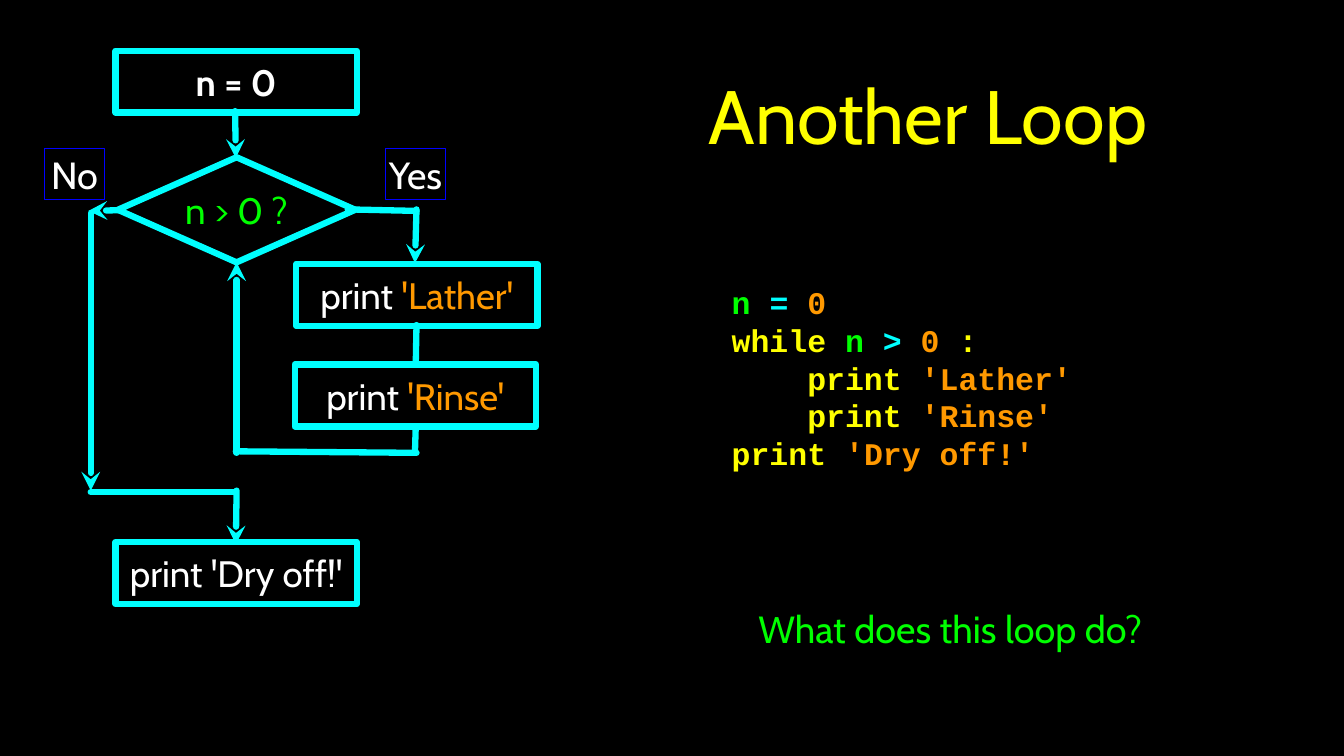
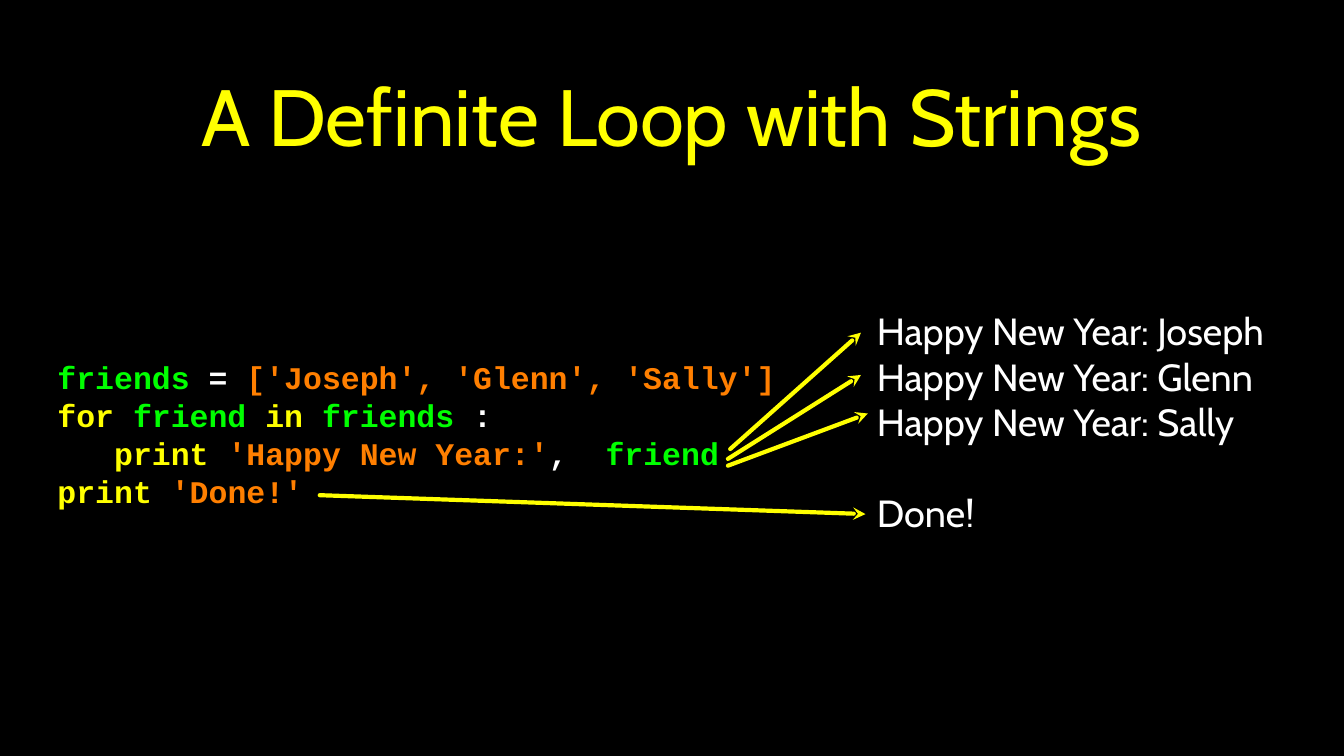
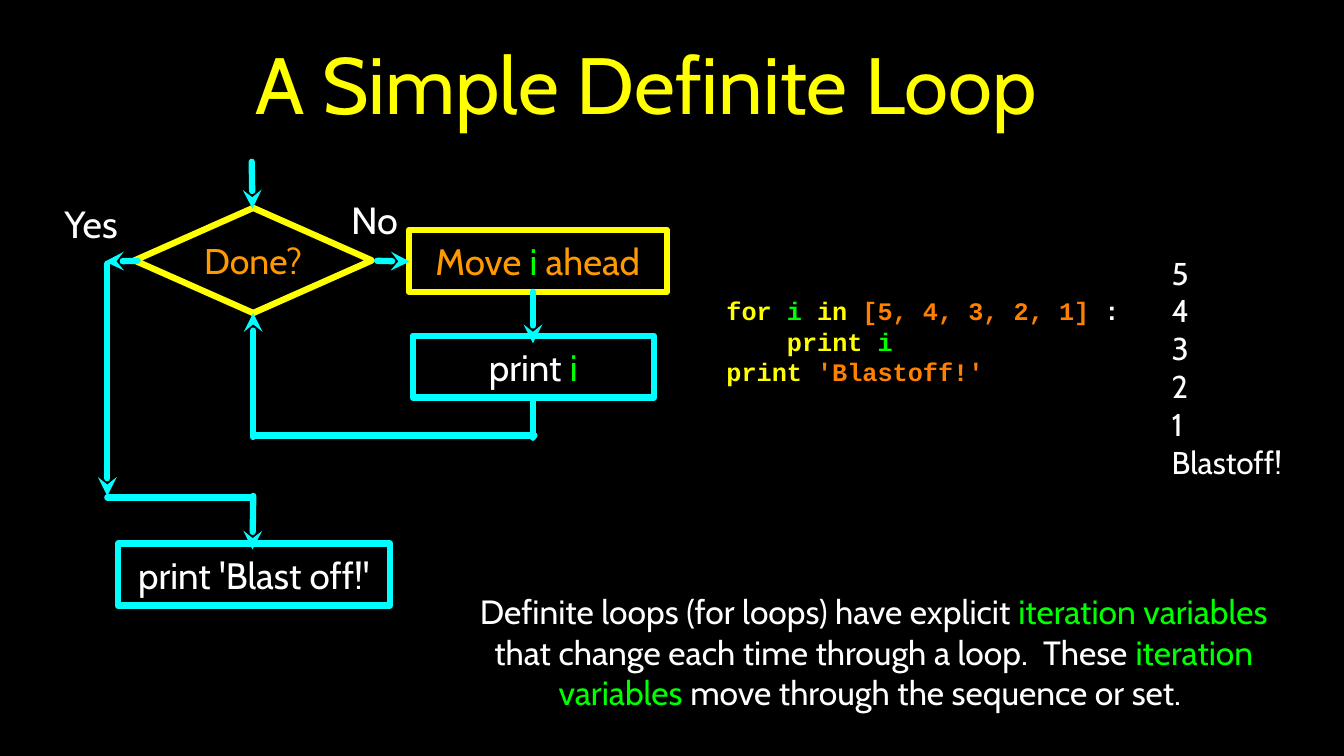
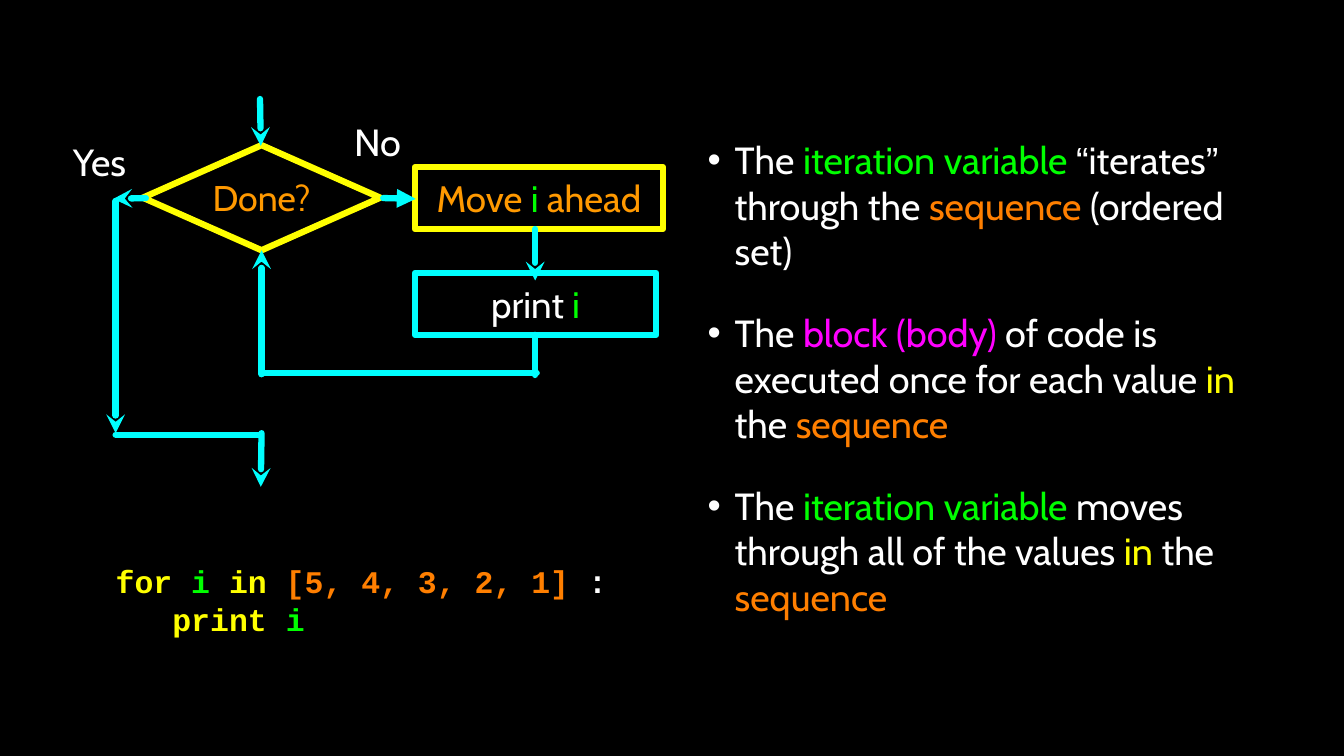
from dataclasses import dataclass

from lxml.etree import SubElement
from pptx import Presentation
from pptx.dml.color import RGBColor
from pptx.enum.shapes import MSO_CONNECTOR, MSO_SHAPE
from pptx.enum.text import MSO_ANCHOR, PP_ALIGN
from pptx.oxml.ns import qn
from pptx.util import Pt

EMU_PER_PX = 9144  # 100 px to the inch

BLACK = "000000"
WHITE = "FFFFFF"
YELLOW = "FFFF00"
GREEN = "00FF00"
CYAN = "00FFFF"
BLUE = "0000FF"
MAGENTA = "FF00FF"
AMBER = "FF9900"
ORANGE = "FF7F00"

TITLE = {"name": "Cabin", "size": Pt(76)}
SHORT_TITLE = {**TITLE, "size": Pt(72)}
BODY = {"name": "Cabin", "size": Pt(36)}
STEP = {"name": "Cabin", "size": Pt(35)}
QUESTION = {"name": "Cabin", "size": Pt(34)}
SUMMARY = {"name": "Cabin", "size": Pt(32)}
OUTPUT = {"name": "Cabin", "size": Pt(30)}
CODE = {"name": "Courier New", "size": Pt(30), "bold": True}
SMALL_CODE = {**CODE, "size": Pt(24)}

STEP_WIDTH, STEP_HEIGHT = 319, 82
DIAMOND_WIDTH, DIAMOND_HEIGHT = 314, 139
LABEL_SIZE = (79, 68)


@dataclass
class Line:
    """One paragraph: runs are (text, colour) or (text, colour, font name)."""
    runs: list
    margin: int = 0
    hanging: int = 0
    space_before: int = 0


def px(length):
    return round(length * EMU_PER_PX)


def rgb(colour):
    return RGBColor.from_string(colour)


def write_text(shape, lines, style, align=PP_ALIGN.CENTER, inset=0):
    frame = shape.text_frame
    settings = {"word_wrap": True, "vertical_anchor": MSO_ANCHOR.MIDDLE}
    for side in ("left", "top", "right", "bottom"):
        settings[f"margin_{side}"] = px(inset)
    for name, value in settings.items():
        setattr(frame, name, value)
    for index, line in enumerate(lines):
        paragraph = frame.add_paragraph() if index else frame.paragraphs[0]
        paragraph.alignment = align
        if line.space_before:
            paragraph.space_before = Pt(line.space_before)
        if line.margin:
            properties = paragraph._p.get_or_add_pPr()
            properties.set("marL", str(px(line.margin)))
            properties.set("indent", str(px(-line.hanging)))
            if line.hanging:
                add_bullet(properties)
        for text, colour, *font_name in line.runs:
            run = paragraph.add_run()
            run.text = text
            for name, value in style.items():
                setattr(run.font, name, value)
            if font_name:
                run.font.name = font_name[0]
            run.font.color.rgb = rgb(colour)


def add_bullet(properties):
    colour = SubElement(properties, qn("a:buClr"))
    SubElement(colour, qn("a:srgbClr")).set("val", WHITE)
    SubElement(properties, qn("a:buFont")).set("typeface", "Arial")
    SubElement(properties, qn("a:buChar")).set("char", "•")


def add_text(slide, box, lines, style, align=PP_ALIGN.LEFT, inset=0):
    shape = slide.shapes.add_textbox(*map(px, box))
    write_text(shape, lines, style, align, inset)


def add_title(slide, box, text, style=TITLE):
    add_text(slide, box, [Line([(text, YELLOW)])], style, PP_ALIGN.CENTER, 4)


def add_label(slide, left, top, text):
    add_text(slide, (left, top, *LABEL_SIZE), [Line([(text, WHITE)])], BODY,
             PP_ALIGN.CENTER)


def add_box(slide, box, runs, style=STEP, colour=CYAN, width=6,
            kind=MSO_SHAPE.RECTANGLE):
    """Draw an unfilled flowchart symbol with centred text."""
    shape = slide.shapes.add_shape(kind, *map(px, box))
    shape.shadow.inherit = False
    shape.fill.background()
    shape.line.color.rgb = rgb(colour)
    shape.line.width = Pt(width)
    write_text(shape, [Line(runs)], style)


def add_step(slide, left, top, runs, width=STEP_WIDTH, colour=CYAN):
    add_box(slide, (left, top, width, STEP_HEIGHT), runs, colour=colour)


def add_line(slide, start, end, head=None, colour=CYAN, width=6):
    """Join two points, with an optional arrowhead at the end."""
    connector = slide.shapes.add_connector(
        MSO_CONNECTOR.STRAIGHT, *map(px, (*start, *end)))
    connector.line.color.rgb = rgb(colour)
    connector.line.width = Pt(width)
    outline = connector.line._get_or_add_ln()
    outline.set("cap", "rnd")
    SubElement(outline, qn("a:round"))
    if head:
        SubElement(outline, qn("a:tailEnd")).set("type", head)
    SubElement(connector._element.spPr, qn("a:effectLst"))


def add_decision(slide, left, top, runs, style, colour, back_depth, exit_depth):
    """Draw a diamond with its entry, its return path and its exit path.

    The depths run from the diamond's top to the two horizontal paths.
    """
    def path(start, end, head="stealth"):
        add_line(slide, (left + start[0], top + start[1]),
                 (left + end[0], top + end[1]), head)

    add_box(slide, (left, top, DIAMOND_WIDTH, DIAMOND_HEIGHT), runs, style,
            colour, kind=MSO_SHAPE.DIAMOND)
    path((155, -61), (156, 1))
    path((157, back_depth + 2), (157, DIAMOND_HEIGHT))
    path((4, 70), (-39, 71))
    path((-36, 74), (-36, exit_depth - 2))
    path((-36, exit_depth), (156, exit_depth), None)
    path((157, exit_depth - 2), (156, exit_depth + 69))


def add_counting_loop(slide, left, top, print_left, move_left, move_width,
                      no_place, head):
    back_depth = 301
    add_decision(slide, left, top, [("Done?", AMBER)], QUESTION, YELLOW,
                 back_depth, 383)
    add_label(slide, left - 97, top - 13, "Yes")
    add_label(slide, *no_place, "No")
    add_step(slide, move_left, top + 29,
             [("Move ", AMBER), ("i", GREEN), (" ahead", AMBER)],
             move_width, YELLOW)
    add_step(slide, print_left, top + 169, [("print ", WHITE), ("i", GREEN)])
    centre = print_left + STEP_WIDTH // 2
    add_line(slide, (move_left - 42, top + 70), (move_left + 1, top + 71), head)
    add_line(slide, (centre, top + 111), (centre, top + 179), "stealth")
    add_line(slide, (centre, top + 251), (centre, top + back_depth + 3))
    add_line(slide, (left + 158, top + back_depth), (centre + 2, top + back_depth))


def for_loop_code(indent):
    return [
        Line([("for ", YELLOW), ("i ", GREEN), ("in ", YELLOW),
              ("[5, 4, 3, 2, 1] ", ORANGE), (":", WHITE)]),
        Line([("print ", YELLOW), ("i", GREEN)], indent),
    ]


def build_another_loop(slide):
    add_title(slide, (867, 26, 721, 251), "Another Loop", SHORT_TITLE)
    add_decision(slide, 156, 208, [("n > 0 ?", GREEN)], STEP, CYAN, 389, 443)
    for left, text in ((59, "No"), (510, "Yes")):
        add_box(slide, (left, 196, *LABEL_SIZE), [(text, WHITE)], BODY, BLUE, 0.75)

    add_box(slide, (153, 67, STEP_WIDTH, STEP_HEIGHT), [("n = 0", WHITE)],
            {**STEP, "bold": True})
    add_step(slide, 392, 349, [("print ", WHITE), ("'Lather'", AMBER)])
    add_step(slide, 390, 482, [("print ", WHITE), ("'Rinse'", AMBER)])
    add_step(slide, 153, 717, [("print 'Dry off!'", WHITE)])

    add_line(slide, (460, 277), (551, 279))
    add_line(slide, (551, 277), (549, 348), "stealth")
    add_line(slide, (551, 430), (550, 482))
    add_line(slide, (550, 564), (549, 597))
    add_line(slide, (312, 597), (551, 599))

    add_text(slide, (968, 348, 512, 303), [
        Line([("n ", GREEN), ("= ", CYAN), ("0", AMBER)]),
        Line([("while ", YELLOW), ("n ", GREEN), ("> ", CYAN), ("0", AMBER),
              (" :", YELLOW)]),
        Line([("print ", YELLOW), ("'Lather'", AMBER)], 100),
        Line([("print ", YELLOW), ("'Rinse'", AMBER)], 100),
        Line([("print ", YELLOW), ("'Dry off!'", AMBER)]),
    ], CODE)
    add_text(slide, (1001, 797, 512, 68),
             [Line([("What does this loop do?", GREEN)])], BODY, PP_ALIGN.CENTER)


def build_strings_loop(slide):
    add_title(slide, (126, 26, 1524, 251), "A Definite Loop with Strings")
    add_text(slide, (76, 453, 1008, 242), [
        Line([("friends", GREEN), (" = ", WHITE),
              ("['Joseph', 'Glenn', 'Sally']", ORANGE)]),
        Line([("for ", YELLOW), ("friend ", GREEN), ("in ", YELLOW),
              ("friends ", GREEN), (":", WHITE)]),
        Line([("print ", YELLOW), ("'Happy New Year:'", ORANGE), (",  ", WHITE),
              ("friend", GREEN)], 75),
        Line([("print ", YELLOW), ("'Done!'", ORANGE)]),
    ], CODE)

    greetings = [Line([(f"Happy New Year: {friend}", WHITE)])
                 for friend in ("Joseph", "Glenn", "Sally")]
    add_text(slide, (1160, 388, 596, 339),
             [*greetings, Line([("Done!", WHITE)], space_before=43)], BODY)

    for start, end in (((966, 594), (1139, 440)), ((963, 607), (1139, 496)),
                       ((963, 616), (1148, 547)), ((423, 655), (1145, 680))):
        add_line(slide, start, end, "stealth", YELLOW, 4)


def build_simple_loop(slide):
    add_title(slide, (331, 0, 1047, 219), "A Simple Definite Loop")
    add_counting_loop(slide, 178, 275, print_left=546, move_left=541,
                      move_width=341, no_place=(456, 256), head="stealth")
    add_step(slide, 156, 719, [("print 'Blast off!'", WHITE)], 360)
    add_text(slide, (961, 360, 558, 182), [
        *for_loop_code(80),
        Line([("print ", YELLOW), ("'Blastoff!'", ORANGE)]),
    ], SMALL_CODE)
    add_text(slide, (1550, 309, 182, 353),
             [Line([(text, WHITE)]) for text in (*"54321", "Blastoff!")], OUTPUT)
    add_text(slide, (602, 771, 1108, 182), [Line([
        ("Definite loops (for loops) have explicit ", WHITE),
        ("iteration variables ", GREEN),
        ("that change each time through a loop.  These ", WHITE),
        ("iteration variables", GREEN),
        (" move through the sequence or set. ", WHITE),
    ])], SUMMARY, PP_ALIGN.CENTER)


def build_iteration_variable(slide):
    add_counting_loop(slide, 189, 192, print_left=549, move_left=549,
                      move_width=328, no_place=(460, 153), head="triangle")
    points = [
        [("The ", WHITE), ("iteration variable ", GREEN), ("“", WHITE, "Arial"),
         ("iterates", WHITE), ("”", WHITE, "Arial"), (" through the ", WHITE),
         ("sequence ", ORANGE), ("(ordered set)", WHITE)],
        [("The ", WHITE), ("block (body)", MAGENTA),
         (" of code is executed once for each value ", WHITE), ("in", YELLOW),
         (" the ", WHITE), ("sequence", ORANGE)],
        [("The ", WHITE), ("iteration variable ", GREEN),
         ("moves through all of the values ", WHITE), ("in", YELLOW),
         (" the ", WHITE), ("sequence", ORANGE)],
    ]
    add_text(slide, (914, 188, 783, 624),
             [Line(runs, 54, 36, 35 if index else 0)
              for index, runs in enumerate(points)], BODY, inset=4)
    add_text(slide, (153, 733, 715, 121), for_loop_code(75), CODE)


def main():
    presentation = Presentation()
    presentation.slide_width, presentation.slide_height = px(1778), px(1000)
    background = presentation.slide_master.background.fill
    background.solid()
    background.fore_color.rgb = rgb(BLACK)
    blank_layout = presentation.slide_layouts[6]
    for build in (build_another_loop, build_strings_loop, build_simple_loop,
                  build_iteration_variable):
        build(presentation.slides.add_slide(blank_layout))
    presentation.save("out.pptx")


if __name__ == "__main__":
    main()
